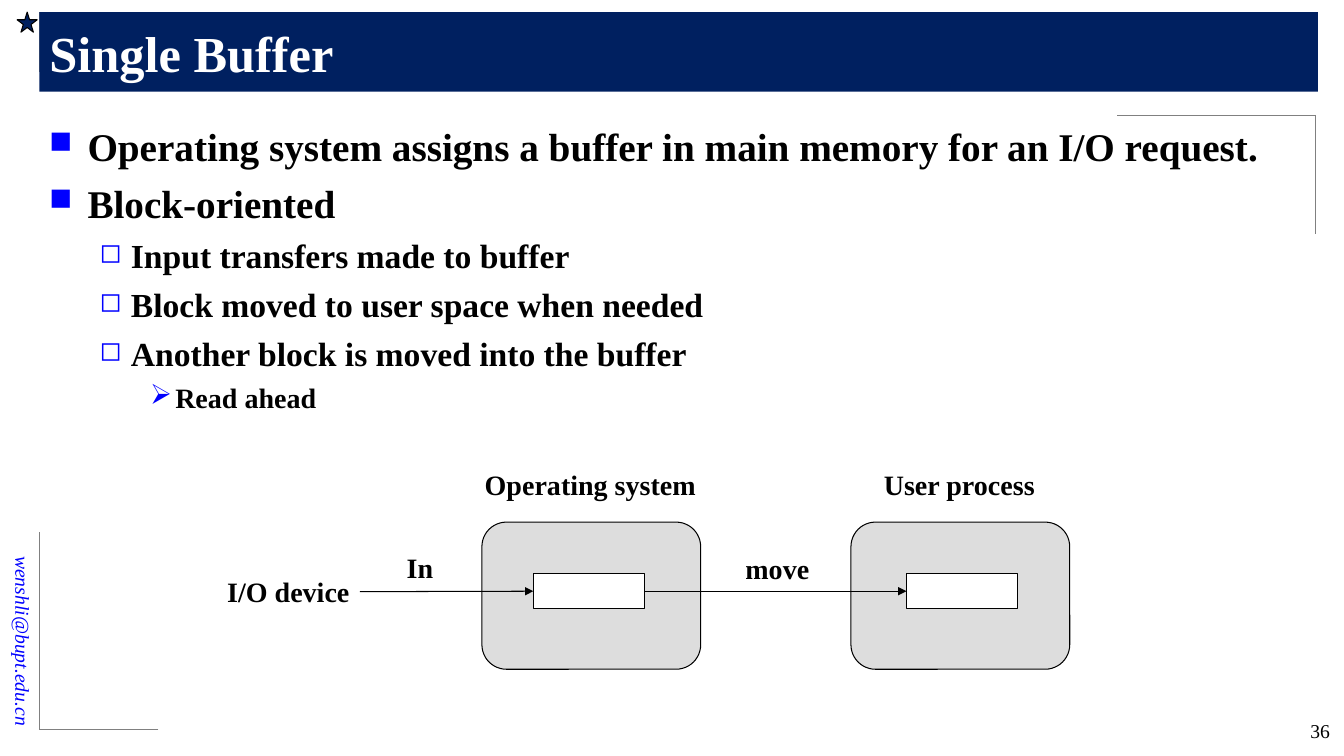
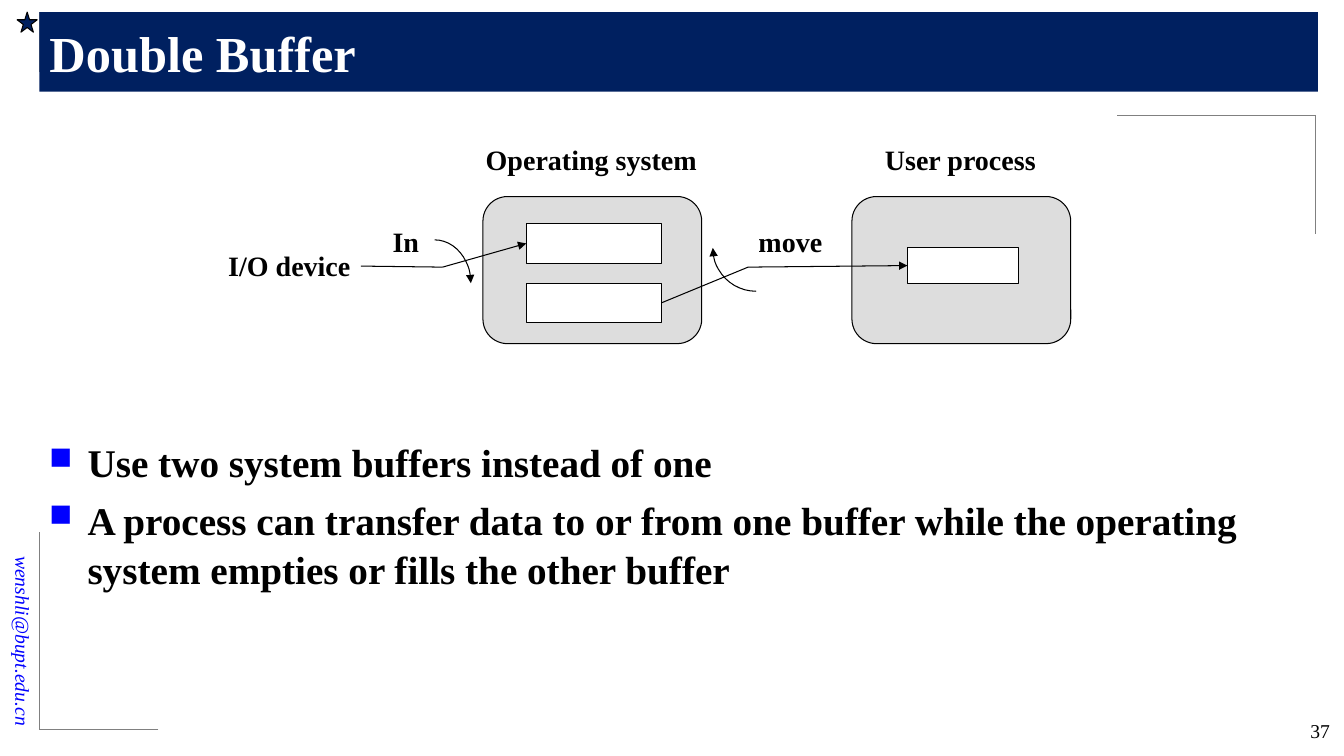
from typing import NamedTuple

from lxml.etree import SubElement
from pptx import Presentation
from pptx.dml.color import RGBColor
from pptx.enum.shapes import MSO_CONNECTOR as Link, MSO_SHAPE as Preset
from pptx.enum.text import MSO_ANCHOR as Anchor, PP_ALIGN as Align
from pptx.oxml.ns import qn
from pptx.util import Emu, Pt

EMU_PER_PX = 9144  # 100 px to the inch
FONT = "Times New Roman"
COLORS = {
    "band": "002060",
    "accent": "0000FF",
    "rule": "808080",
    "panel": "DDDDDD",
    "ink": "000000",
    "paper": "FFFFFF",
}
TOP, LEFT, BOTTOM, RIGHT = range(4)


class Box(NamedTuple):
    left: int
    top: int
    width: int
    height: int

    def shifted(self, across: int, down: int) -> "Box":
        return self._replace(left=self.left + across, top=self.top + down)


class Point(NamedTuple):
    x: int
    y: int


class Level(NamedTuple):
    bullet: str
    bullet_percent: int
    margin: int
    hanging: int
    size: int


class Item(NamedTuple):
    text: str
    level: int = 0


LEVELS = [
    Level("■", 80, 38, 38, 28),
    Level("◻", 80, 81, 31, 24),
    Level("➢", 100, 125, 25, 20),
]
CORNER_RULES = [
    (Point(39, 12), Point(39, 71)),
    (Point(39, 12), Point(236, 12)),
    (Point(39, 528), Point(39, 724)),
    (Point(157, 724), Point(39, 724)),
    (Point(1305, 114), Point(1305, 232)),
    (Point(1305, 114), Point(1108, 114)),
]
TITLE_BAND = Box(39, 12, 1268, 79)
LABEL_HEIGHT = 44


def px(length: int) -> Emu:
    return Emu(length * EMU_PER_PX)


def emu(lengths) -> list:
    return [px(length) for length in lengths]


def rgb(name: str) -> RGBColor:
    return RGBColor.from_string(COLORS[name])


def write(para, text: str, *, size: int, color: str = "ink", bold: bool = False,
          italic: bool = False, align=Align.LEFT) -> None:
    para.alignment = align
    span = para.add_run()
    span.text = text
    font = span.font
    font.name, font.size, font.bold, font.italic = FONT, Pt(size), bold, italic
    font.color.rgb = rgb(color)


def add_text(slide, box: Box, text: str, *, wrap: bool = True, anchor=Anchor.TOP, **style):
    shape = slide.shapes.add_textbox(*emu(box))
    frame = shape.text_frame
    frame.word_wrap, frame.vertical_anchor = wrap, anchor
    write(frame.paragraphs[0], text, **style)
    return shape


def add_label(slide, left: int, top: int, width: int, text: str):
    return add_text(slide, Box(left, top, width, LABEL_HEIGHT), text,
                    wrap=False, size=20, bold=True, align=Align.CENTER)


def set_line(line, color: str, width: float, arrow: bool = False) -> None:
    line.color.rgb, line.width = rgb(color), Pt(width)
    if arrow:
        SubElement(line._get_or_add_ln(), qn("a:tailEnd"), type="triangle")


def add_shape(slide, preset, box: Box, fill: str = "paper"):
    shape = slide.shapes.add_shape(preset, *emu(box))
    shape.shadow.inherit = False
    shape.fill.solid()
    shape.fill.fore_color.rgb = rgb(fill)
    set_line(shape.line, "ink", 0.75)
    return shape


def add_line(slide, start, end, *, color: str = "ink", width: float = 0.75,
             arrow: bool = False) -> None:
    """Draw from start to end: a Point, or a shape left by its right and entered by its left side."""
    ends = [spot if isinstance(spot, Point) else Point(0, 0) for spot in (start, end)]
    connector = slide.shapes.add_connector(Link.STRAIGHT, *emu(ends[0] + ends[1]))
    if not isinstance(start, Point):
        connector.begin_connect(start, RIGHT)
    if not isinstance(end, Point):
        connector.end_connect(end, LEFT)
    set_line(connector.line, color, width, arrow)
    SubElement(connector.element.spPr, qn("a:effectLst"))


def add_swap_arc(slide, center: Point, radius_x: int, radius_y: int, start: int, end: int) -> None:
    """Draw a clockwise arrow between two angles in degrees, measured from the right."""
    box = Box(center.x - radius_x, center.y - radius_y, 2 * radius_x, 2 * radius_y)
    arc = slide.shapes.add_shape(Preset.ARC, *emu(box))
    arc.shadow.inherit = False
    arc.adjustments[0], arc.adjustments[1] = start * 0.6, end * 0.6
    arc.fill.background()
    set_line(arc.line, "ink", 0.75, arrow=True)


def add_bullets(slide, box: Box, items: list[Item]) -> None:
    frame = slide.shapes.add_textbox(*emu(box)).text_frame
    frame.word_wrap = True
    for index, item in enumerate(items):
        level = LEVELS[item.level]
        para = frame.add_paragraph() if index else frame.paragraphs[0]
        para.level = item.level
        properties = para._p.get_or_add_pPr()
        properties.set("marL", str(px(level.margin)))
        properties.set("indent", str(px(-level.hanging)))
        tint = SubElement(properties, qn("a:buClr"))
        SubElement(tint, qn("a:srgbClr"), val=COLORS["accent"])
        SubElement(properties, qn("a:buSzPct"), val=str(level.bullet_percent * 1000))
        SubElement(properties, qn("a:buChar"), char=level.bullet)
        para.line_spacing = 1.05
        para.space_before = Pt(level.size * 0.2 if index else 0)
        write(para, item.text, size=level.size, bold=True)


def add_page(deck, heading: str, number: int):
    slide = deck.slides.add_slide(deck.slide_layouts[5])
    address = add_text(slide, Box(-109, 581, 264, 34), "wenshli@bupt.edu.cn",
                       anchor=Anchor.MIDDLE, size=14, color="accent", italic=True,
                       align=Align.RIGHT)
    address.rotation = 90
    for start, end in CORNER_RULES:
        add_line(slide, start, end, color="rule", width=0.5)
    add_shape(slide, Preset.STAR_5_POINT, Box(17, 12, 20, 20), "band")

    title = slide.shapes.title
    title.left, title.top, title.width, title.height = emu(TITLE_BAND)
    title.fill.solid()
    title.fill.fore_color.rgb = rgb("band")
    title.text_frame.vertical_anchor = Anchor.MIDDLE
    write(title.text_frame.paragraphs[0], heading, size=36, color="paper", bold=True)
    title.element.getparent().append(title.element)  # in front of the corner rules

    add_text(slide, Box(1218, 708, 111, 36), str(number), size=14, align=Align.RIGHT)
    return slide


def add_stage(slide, left: int, top: int):
    """Draw the parts both diagrams share; return the device label and the user buffer."""
    panel = Box(left, top, 217, 146)
    add_label(slide, left - 8, top - 59, 231, "Operating system")
    add_label(slide, left + 388, top - 59, 171, "User process")
    for across in (0, 366):
        add_shape(slide, Preset.ROUNDED_RECTANGLE, panel.shifted(across, 0), "panel")
    user_buffer = add_shape(slide, Preset.RECTANGLE, Box(left + 421, top + 51, 110, 35))
    device = add_label(slide, left - 263, top + 47, 142, "I/O device")
    return device, user_buffer


def add_single_buffer(deck) -> None:
    slide = add_page(deck, "Single Buffer", 36)
    add_bullets(slide, Box(39, 114, 1264, 610), [
        Item("Operating system assigns a buffer in main memory for an I/O request."),
        Item("Block-oriented"),
        Item("Input transfers made to buffer", 1),
        Item("Block moved to user space when needed", 1),
        Item("Another block is moved into the buffer", 1),
        Item("Read ahead", 2),
    ])
    device, user_buffer = add_stage(slide, 478, 518)
    system_buffer = add_shape(slide, Preset.RECTANGLE, Box(529, 569, 110, 35))
    add_line(slide, device, system_buffer, arrow=True)
    add_line(slide, system_buffer, user_buffer, arrow=True)
    add_label(slide, 393, 541, 47, "In")
    add_label(slide, 729, 542, 84, "move")


def add_double_buffer(deck) -> None:
    slide = add_page(deck, "Double Buffer", 37)
    add_bullets(slide, Box(39, 428, 1264, 296), [
        Item("Use two system buffers instead of one"),
        Item("A process can transfer data to or from one buffer while the operating "
             "system empties or fills the other buffer"),
    ])
    device, user_buffer = add_stage(slide, 479, 195)
    upper_buffer, lower_buffer = [
        add_shape(slide, Preset.RECTANGLE, Box(522, top, 134, 39)) for top in (222, 281)
    ]
    input_switch, output_switch = Point(439, 265), Point(742, 265)
    add_line(slide, device, input_switch)
    add_line(slide, input_switch, upper_buffer, arrow=True)
    add_line(slide, lower_buffer, output_switch)
    add_line(slide, output_switch, user_buffer, arrow=True)
    add_label(slide, 379, 218, 47, "In")
    add_label(slide, 742, 218, 84, "move")
    add_swap_arc(slide, Point(431, 281), 36, 43, 270, 0)
    add_swap_arc(slide, Point(750, 246), 43, 43, 90, 180)


def main() -> None:
    deck = Presentation()
    deck.slide_width, deck.slide_height = px(1333), px(750)
    add_single_buffer(deck)
    add_double_buffer(deck)
    deck.save("out.pptx")


if __name__ == "__main__":
    main()
